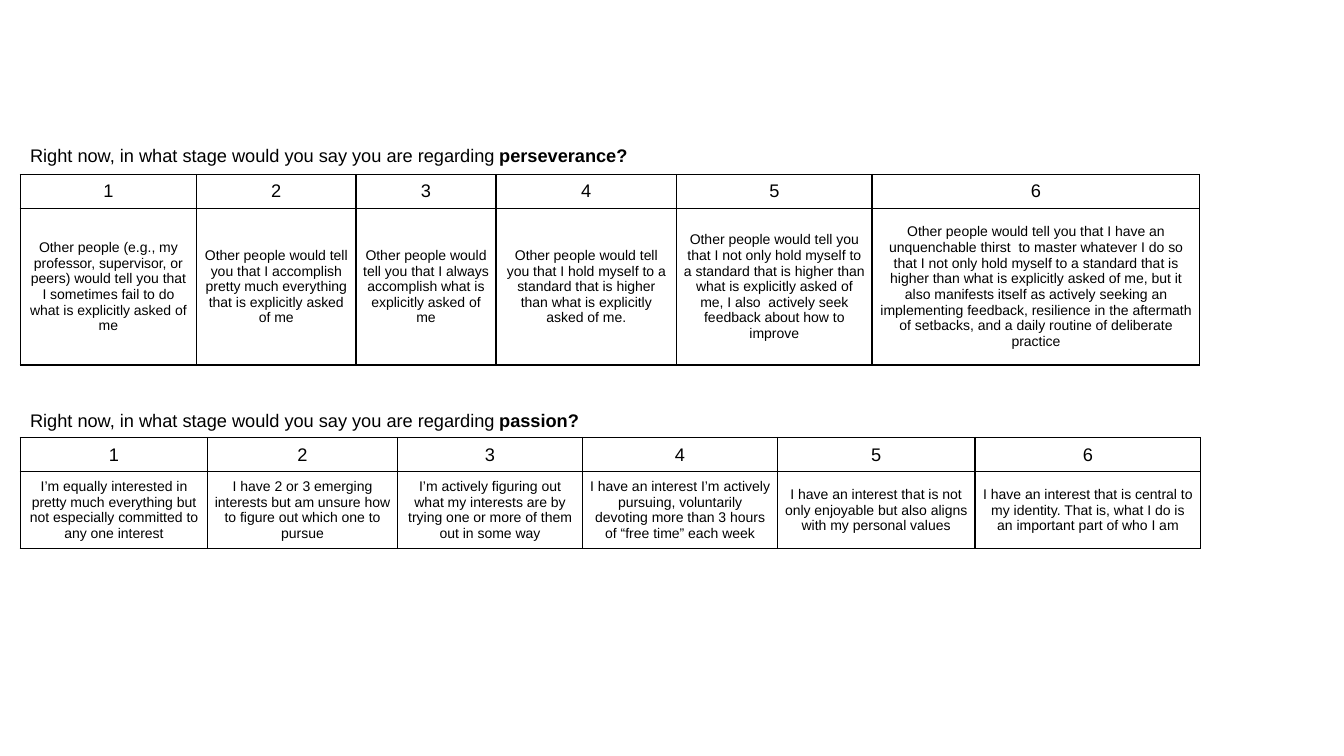
"""Build a slide with two six-stage self-rating scales."""
from lxml import etree
from pptx import Presentation, util as u
from pptx.dml.color import RGBColor
from pptx.enum import text as t
from pptx.oxml import ns

COLORS = {"ink": "000000"}
FONT = "Arial"
LEFT = 0.2
HEAD = 0.34
ASK = "Right now, in what stage would you say you are regarding "
TELL = "Other people would tell you that I "

GRIT = [
    (1.75, "Other people (e.g., my professor, supervisor, or peers) would tell you "
           "that I sometimes fail to do what is explicitly asked of me"),
    (1.58, TELL + "accomplish pretty much everything that is explicitly asked of me"),
    (1.39, TELL + "always accomplish what is explicitly asked of me"),
    (1.79, TELL + "hold myself to a standard that is higher than what is explicitly "
                  "asked of me."),
    (1.94, TELL + "not only hold myself to a standard that is higher than what is "
                  "explicitly asked of me, I also\u00a0 actively seek feedback about "
                  "how to improve"),
    (3.25, TELL + "have an unquenchable thirst\u00a0 to master whatever I do so that "
                  "I not only hold myself to a standard that is higher than what is "
                  "explicitly asked of me, but it also\u00a0manifests itself as "
                  "actively seeking an implementing feedback, resilience in the "
                  "aftermath of setbacks, and a daily routine of deliberate practice"),
]
PASSION = [
    (1.86, "I’m equally interested in pretty much everything but not especially "
           "committed to any one interest"),
    (1.88, "I have 2 or 3 emerging interests but am unsure how to figure out which "
           "one to pursue"),
    (1.84, "I’m actively figuring out what my interests are by trying one or more of "
           "them out in some way"),
    (1.93, "I have an interest I’m actively pursuing, voluntarily devoting more than "
           "3 hours of “free time” each week"),
    (1.96, "I have an interest that is not only enjoyable but also aligns with my "
           "personal values"),
    (2.24, "I have an interest that is central to my identity. That is, what I do is "
           "an important part of who I am"),
]


def style(run, size, bold=False):
    """Set the font of a run."""
    run.font.name = FONT
    run.font.size = u.Pt(size)
    run.font.bold = bold
    run.font.color.rgb = RGBColor.from_string(COLORS["ink"])


def border(cell):
    """Draw a thin line on all four sides of a cell."""
    props = cell._tc.get_or_add_tcPr()
    for spot, side in enumerate(("lnL", "lnR", "lnT", "lnB")):
        line = etree.Element(ns.qn("a:" + side), w=str(u.Pt(1)))
        fill = etree.SubElement(line, ns.qn("a:solidFill"))
        etree.SubElement(fill, ns.qn("a:srgbClr"), val=COLORS["ink"])
        props.insert(spot, line)


def fill_cell(cell, words, size):
    """Write centred text into a bordered, unfilled cell."""
    cell.fill.background()
    border(cell)
    cell.margin_left = cell.margin_right = u.Inches(0.07)
    cell.margin_top = cell.margin_bottom = u.Inches(0.07)
    cell.vertical_anchor = t.MSO_ANCHOR.MIDDLE
    cell.text_frame.text = words
    para = cell.text_frame.paragraphs[0]
    para.alignment = t.PP_ALIGN.CENTER
    style(para.runs[0], size)


def add_ask(slide, top, width, topic):
    """Add a question that ends in a bold topic."""
    box = slide.shapes.add_textbox(
        u.Inches(LEFT), u.Inches(top), u.Inches(width), u.Inches(0.32))
    frame = box.text_frame
    frame.word_wrap = True
    frame.vertical_anchor = t.MSO_ANCHOR.MIDDLE
    frame.text = ASK
    para = frame.paragraphs[0]
    para.add_run().text = topic
    for run, bold in zip(para.runs, (False, True)):
        style(run, 13, bold)


def add_scale(slide, top, body, stages):
    """Add a table with numbered stages above their descriptions."""
    width = sum(wide for wide, _ in stages)
    table = slide.shapes.add_table(
        2, len(stages), u.Inches(LEFT), u.Inches(top),
        u.Inches(width), u.Inches(HEAD + body)).table
    table.first_row = table.horz_banding = False
    table.rows[0].height = u.Inches(HEAD)
    table.rows[1].height = u.Inches(body)
    for col, (wide, words) in enumerate(stages):
        table.columns[col].width = u.Inches(wide)
        fill_cell(table.cell(0, col), str(col + 1), 13)
        fill_cell(table.cell(1, col), words, 10)


def main():
    """Build and save the slide."""
    deck = Presentation()
    deck.slide_width = u.Inches(13.33)
    deck.slide_height = u.Inches(7.5)
    slide = deck.slides.add_slide(deck.slide_layouts[6])
    add_scale(slide, 4.34, 0.76, PASSION)
    add_scale(slide, 1.73, 1.55, GRIT)
    add_ask(slide, 1.38, 7.11, "perseverance?")
    add_ask(slide, 4.01, 9.08, "passion?")
    deck.save("out.pptx")


main()
